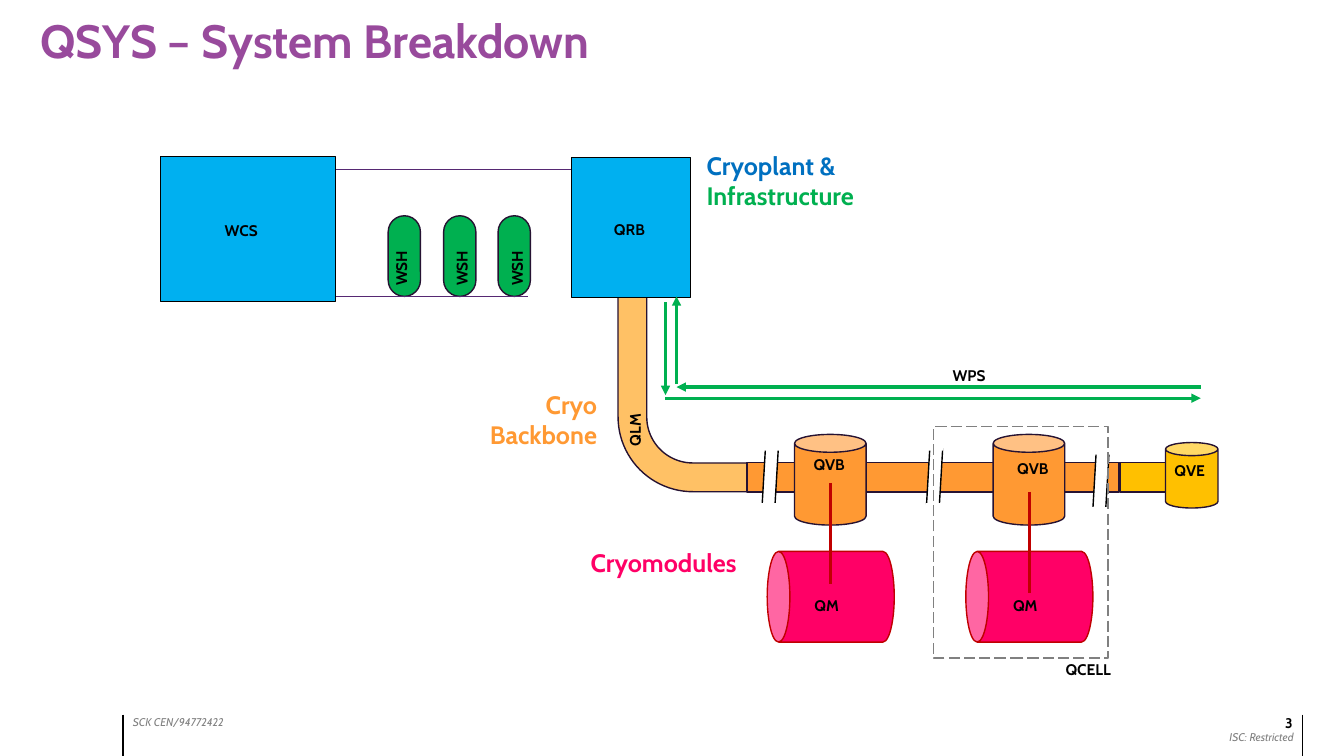
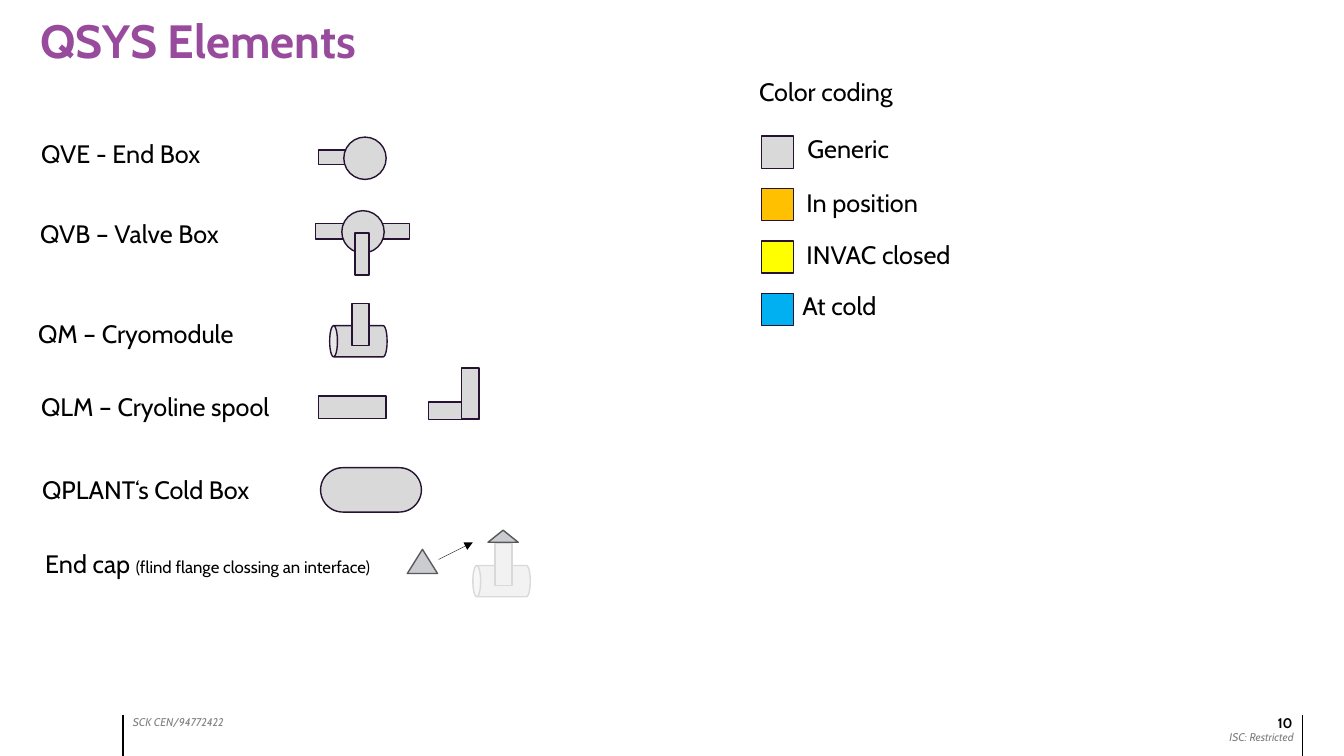
from lxml.etree import SubElement
from pptx import Presentation
from pptx.dml.color import RGBColor
from pptx.enum.dml import MSO_LINE
from pptx.enum.shapes import MSO_CONNECTOR, MSO_SHAPE as KIND
from pptx.enum.text import MSO_AUTO_SIZE, PP_ALIGN
from pptx.oxml.ns import qn
from pptx.util import Inches, Pt

FONT = "Cabin"
BLACK, WHITE, GREY = "000000", "FFFFFF", "808080"
PURPLE, VIOLET, DARK = "984A9C", "562873", "261232"
BLUE, NAVY, GREEN = "00B0F0", "0070C0", "00B050"
PEACH, ORANGE, GOLD, YELLOW = "FFC165", "FF9933", "FFC000", "FFFF00"
PINK, RED = "FF0066", "C00000"
PLAIN, PALE, EDGE, STEEL, SLATE = "D9D9D9", "F2F2F2", "D9D9D9", "CACCD0", "59595B"

TITLE = {"size": Pt(33.3), "bold": True}
HEAD = {"size": Pt(18), "bold": True}
BODY = {"size": Pt(18)}
SMALL = {"size": Pt(12)}
TAG = {"size": Pt(11), "bold": True}
PAGE = {"size": Pt(10), "bold": True}
NOTE = {"size": Pt(8), "italic": True}


def paint(part, tone):
    """Colour a fill or a font from a hex string; None clears a fill."""
    if tone is None:
        part.background()
        return
    if hasattr(part, "solid"):
        part.solid()
        part = part.fore_color
    else:
        part = part.color
    part.rgb = RGBColor.from_string(tone)


def assign(item, values):
    """Set each attribute of an item from a dict."""
    for name, value in values.items():
        setattr(item, name, value)


def shape(slide, kind, box, fill, line=DARK, turn=0, adjust=()):
    """Draw a preset shape without shadow."""
    item = slide.shapes.add_shape(kind, *map(Inches, box))
    item.shadow.inherit = False
    item.rotation = turn
    for spot, value in enumerate(adjust):
        item.adjustments[spot] = value
    paint(item.fill, fill)
    paint(item.line.fill, line)
    if line:
        item.line.width = Pt(1)
    return item


def line(slide, start, end, tone, width=1, tip=False):
    """Draw a straight line, with an arrowhead at its end if asked."""
    item = slide.shapes.add_connector(
        MSO_CONNECTOR.STRAIGHT, *map(Inches, (*start, *end)))
    paint(item.line.fill, tone)
    item.line.width = Pt(width)
    props = item.element.spPr
    if tip:
        SubElement(props.find(qn("a:ln")), qn("a:tailEnd"), type="triangle")
    SubElement(props, qn("a:effectLst"))


def text(slide, box, runs, wrap=False, align=PP_ALIGN.LEFT, turn=0, inset=None):
    """Write a paragraph of (words, format, colour) runs in a text box."""
    item = slide.shapes.add_textbox(*map(Inches, box))
    item.rotation = turn
    frame = item.text_frame
    assign(frame, {"word_wrap": wrap, "auto_size": MSO_AUTO_SIZE.SHAPE_TO_FIT_TEXT})
    if inset is not None:
        sides = ("left", "top", "right", "bottom")
        assign(frame, {f"margin_{side}": Inches(inset) for side in sides})
    para = frame.paragraphs[0]
    para.alignment = align
    for words, form, tone in runs:
        run = para.add_run()
        run.text = words
        assign(run.font, {"name": FONT, **form})
        paint(run.font, tone)
    return para


def tag(slide, x, y, width, words, turn=0):
    """Write a small bold label."""
    text(slide, (x, y, width, 0.29), [(words, TAG, BLACK)], turn=turn)


def entry(slide, x, y, width, words):
    """Write a line of the element list or of the colour key."""
    text(slide, (x, y, width, 0.4), [(words, BODY, BLACK)])


def base(deck, title, page):
    """Add a blank slide with title, footer and page number."""
    slide = deck.slides.add_slide(deck.slide_layouts[6])
    text(slide, (1.22, 7.05, 1.57, 0.24), [("SCK CEN/94772422", NOTE, GREY)], True)
    text(slide, (11.11, 7.2, 1.82, 0.24), [("ISC: Restricted", NOTE, GREY)],
         True, PP_ALIGN.RIGHT)
    for x in (1.22, 12.92):
        line(slide, (x, 7.09), (x, 7.5), BLACK)
    text(slide, (9.82, 7.09, 3, 0.25), [(page, PAGE, BLACK)],
         True, PP_ALIGN.RIGHT, inset=0)
    para = text(slide, (0.2, 0.13, 12.72, 0.62), [(title, TITLE, PURPLE)], True)
    para.line_spacing = 0.9
    para._p.get_or_add_pPr().set("marL", str(Inches(0.1)))
    return slide


def gap(slide, x, y):
    """Cut a pipe with a slanted white break."""
    shape(slide, KIND.FLOWCHART_DATA, (x, y, 0.16, 0.55), WHITE, BLACK)
    for shift, drop in ((0.01, -0.06), (-0.01, 0.54)):
        shape(slide, KIND.RECTANGLE, (x + shift, y + drop, 0.16, 0.08), WHITE, None)


def spine(slide, x, y):
    """Draw the cryo backbone: pipes, valve boxes and end box."""
    bend = shape(slide, KIND.BENT_ARROW, (x, y, 2.05, 2.15), PEACH,
                 adjust=(0.139, 0.129, 0.057, 0.362))
    bend.element.spPr.find(qn("a:xfrm")).set("flipV", "1")
    shape(slide, KIND.RECTANGLE, (x + 1.28, y + 1.74, 3.69, 0.29), ORANGE)
    for left in (1.75, 3.72):
        shape(slide, KIND.CAN, (x + left, y + 1.46, 0.71, 0.9), ORANGE)
    shape(slide, KIND.RECTANGLE, (x + 4.98, y + 1.74, 0.88, 0.29), GOLD)
    shape(slide, KIND.CAN, (x + 5.43, y + 1.54, 0.52, 0.65), GOLD)
    for left, top in ((1.43, 1.6), (3.06, 1.6), (4.71, 1.64)):
        gap(slide, x + left, y + top)
    tag(slide, x + 1.84, y + 1.62, 0.52, "QVB")
    tag(slide, x + 3.86, y + 1.66, 0.52, "QVB")
    tag(slide, x + 5.42, y + 1.68, 0.51, "QVE")
    tag(slide, x - 0.2, y + 1.16, 0.74, "QLM", 270)
    text(slide, (x - 1.68, y + 0.96, 1.57, 0.71),
         [("Cryo Backbone", HEAD, ORANGE)], True, PP_ALIGN.RIGHT)


def plant(slide, x, y):
    """Draw the cryoplant with its storage tanks."""
    for left, shift in ((2.02, 2.11), (2.57, 2.71), (3.11, 3.26)):
        shape(slide, KIND.ROUNDED_RECTANGLE, (x + left, y + 0.83, 0.8, 0.32),
              GREEN, turn=270, adjust=(0.5,))
        tag(slide, x + shift, y + 0.96, 0.56, "WSH", 270)
    for end, drop in ((3.65, 1.39), (4.17, 0.13)):
        line(slide, (x + 1.7, y + drop), (x + end, y + drop), VIOLET, 0.5)
    shape(slide, KIND.RECTANGLE, (x, y, 1.74, 1.44), BLUE, BLACK)
    shape(slide, KIND.RECTANGLE, (x + 4.08, y + 0.01, 1.18, 1.39), BLUE, BLACK)
    tag(slide, x + 0.54, y + 0.59, 0.54, "WCS")
    tag(slide, x + 4.4, y + 0.58, 0.52, "QRB")
    text(slide, (x + 5.32, y - 0.11, 2.11, 0.71),
         [("Cryoplant & ", HEAD, NAVY), ("Infrastructure", HEAD, GREEN)], True)


def module(slide, x, y, drop):
    """Draw a cryomodule hanging from its valve box."""
    shape(slide, KIND.CAN, (x, y, 0.9, 1.26), PINK, RED, 270)
    line(slide, (x + 0.45, y + drop), (x + 0.45, y + drop + 1), RED, 2.25)
    tag(slide, x + 0.19, y + 0.57, 0.47, "QM")


def cell(slide, x, y):
    """Frame one cell with a dashed box."""
    frame = shape(slide, KIND.RECTANGLE, (x, y, 1.73, 2.3), None, GREY)
    frame.line.dash_style = MSO_LINE.LONG_DASH
    tag(slide, x + 1.21, y + 2.27, 0.66, "QCELL")


def supply(slide, x, y):
    """Draw the green supply and return arrows."""
    paths = (((5.31, 0.9), (0.11, 0.9)), ((0.11, 0.87), (0.11, 0)),
             ((0, 1.01), (5.31, 1.01)), ((0, 0.06), (0, 0.98)))
    for start, end in paths:
        line(slide, (x + start[0], y + start[1]), (x + end[0], y + end[1]),
             GREEN, 2.25, True)
    tag(slide, x + 2.75, y + 0.64, 0.54, "WPS")


def system(deck):
    """Build the system breakdown slide."""
    slide = base(deck, "QSYS – System Breakdown", "3")
    spine(slide, 6.13, 2.85)
    module(slide, 7.79, 5.29, -0.5)
    module(slide, 9.76, 5.29, -0.41)
    plant(slide, 1.59, 1.55)
    cell(slide, 9.26, 4.23)
    text(slide, (5.76, 5.38, 1.77, 0.4), [("Cryomodules", HEAD, PINK)])
    supply(slide, 6.6, 2.94)


def cryo(slide, x, y, fill=PLAIN, edge=DARK):
    """Draw the cryomodule symbol."""
    shape(slide, KIND.CAN, (x + 0.13, y - 0.04, 0.31, 0.57), fill, edge, 270)
    shape(slide, KIND.RECTANGLE, (x + 0.22, y - 0.13, 0.17, 0.42), fill, edge)


def boxes(slide, x, y):
    """Draw the symbols of end box and valve box."""
    parts = ((KIND.RECTANGLE, 0.03, 0.13, 0.53, 0.14),
             (KIND.OVAL, 0.28, 0, 0.42, 0.42),
             (KIND.RECTANGLE, 0, 0.86, 0.93, 0.15),
             (KIND.OVAL, 0.26, 0.73, 0.42, 0.42),
             (KIND.RECTANGLE, 0.39, 0.95, 0.14, 0.42))
    for kind, left, top, width, height in parts:
        shape(slide, kind, (x + left, y + top, width, height), PLAIN)


def spools(slide, x, y):
    """Draw the straight and the angled cryoline spool."""
    for left, top, width, height in ((0, 0.28, 0.67, 0.22), (1.09, 0.34, 0.5, 0.17),
                                     (1.42, 0, 0.17, 0.5)):
        shape(slide, KIND.RECTANGLE, (x + left, y + top, width, height), PLAIN)


def cap(slide, x, y):
    """Show the end cap and where it goes."""
    cryo(slide, x + 0.65, y + 0.26, PALE, EDGE)
    for left, top, height in ((0.8, 0, 0.12), (0, 0.19, 0.24)):
        shape(slide, KIND.ISOSCELES_TRIANGLE, (x + left, y + top, 0.3, height),
              STEEL, SLATE)
    line(slide, (x + 0.31, y + 0.29), (x + 0.65, y + 0.12), BLACK, 0.25, True)


def key(slide, x, y):
    """List the colour coding."""
    entry(slide, x - 0.12, y - 0.64, 1.64, "Color coding")
    rows = ((PLAIN, "Generic", 0.36, -0.08, 1.05),
            (GOLD, "In position", 0.35, -0.06, 1.38),
            (YELLOW, "INVAC closed", 0.35, -0.06, 1.7),
            (BLUE, "At cold", 0.31, -0.08, 0.99))
    for spot, (tone, words, left, rise, width) in enumerate(rows):
        top = y + 0.52 * spot
        shape(slide, KIND.RECTANGLE, (x, top, 0.32, 0.32), tone)
        entry(slide, x + left, top + rise, width, words)


def parts(deck):
    """Build the elements slide."""
    slide = base(deck, "QSYS Elements", "10")
    names = ((0.31, 1.32, 1.81, "QVE - End Box"),
             (0.3, 2.12, 2.01, "QVB – Valve Box"),
             (0.28, 3.11, 2.25, "QM – Cryomodule"),
             (0.31, 3.83, 2.6, "QLM – Cryoline spool"),
             (0.32, 4.66, 2.36, "QPLANT‘s Cold Box"))
    for name in names:
        entry(slide, *name)
    text(slide, (0.35, 5.39, 3.64, 0.4),
         [("End cap ", BODY, BLACK),
          ("(flind flange clossing an interface)", SMALL, BLACK)])
    boxes(slide, 3.13, 1.36)
    cryo(slide, 3.27, 3.14)
    spools(slide, 3.16, 3.65)
    shape(slide, KIND.ROUNDED_RECTANGLE, (3.18, 4.64, 1, 0.44), PLAIN, adjust=(0.5,))
    cap(slide, 4.04, 5.26)
    key(slide, 7.55, 1.35)


def main():
    """Build and save the deck."""
    deck = Presentation()
    assign(deck, {"slide_width": Inches(13.33), "slide_height": Inches(7.5)})
    system(deck)
    parts(deck)
    deck.save("out.pptx")


if __name__ == "__main__":
    main()
